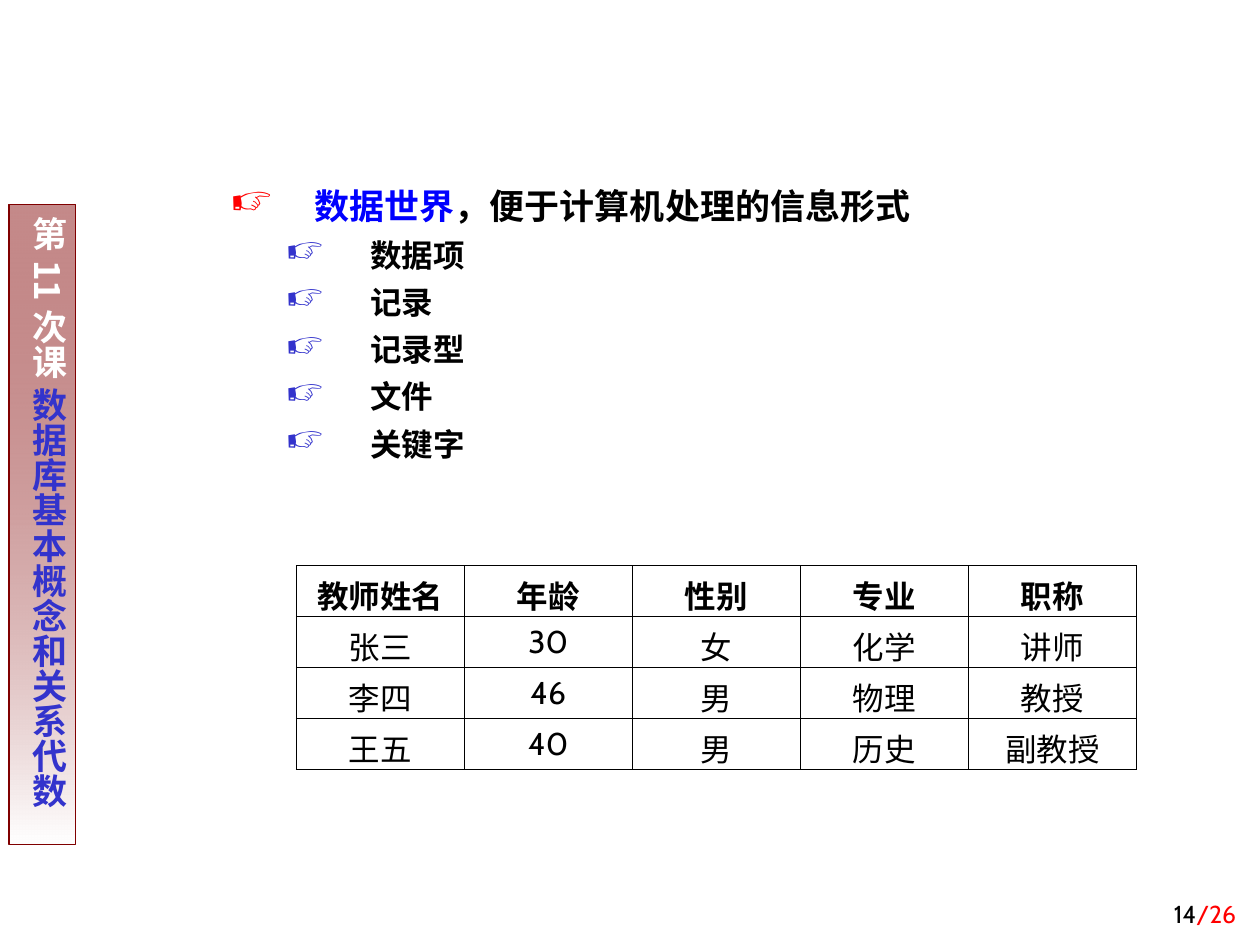
from lxml.etree import SubElement as Sub
from pptx import Presentation
from pptx.dml.color import RGBColor
from pptx.enum.shapes import MSO_SHAPE as Kind
from pptx.enum.text import MSO_ANCHOR as Anchor, PP_ALIGN as Align
from pptx.oxml.ns import qn
from pptx.util import Cm, Pt

CJK, LATIN = "Noto Sans CJK SC", "Cabin"
BLACK, WHITE, RED, BLUE, NAVY, WINE = (
    "000000", "FFFFFF", "FF0000", "0000FF", "3333CC", "800000")


def color(code):
    return RGBColor.from_string(code)


def put(obj, fmt):
    for name, value in fmt.items():
        setattr(obj, name, value)


class Page:
    """Holds the style and the current slide."""
    big = {"size": Pt(20), "bold": True, "name": CJK}
    mid = {"size": Pt(18), "bold": True, "name": CJK}
    cell = {"size": Pt(18), "name": LATIN}
    small = {"size": Pt(14), "name": LATIN}
    side = {"margin_left": Cm(0.13), "margin_right": Cm(0.13),
            "margin_top": Cm(0.25), "margin_bottom": Cm(0.25),
            "word_wrap": True, "vertical_anchor": Anchor.TOP}

    def __init__(self, deck):
        self.slide = deck.slides.add_slide(deck.slide_layouts[6])
        self.shapes = self.slide.shapes

    def runs(self, para, parts, fmt):
        for text, code in parts:
            run = para.add_run()
            run.text = text
            put(run.font, fmt)
            run.font.color.rgb = color(code)
            Sub(run.font._element, qn("a:ea"), typeface=CJK)

    def bullet(self, para, code, left, hang):
        props = para._p.get_or_add_pPr()
        props.set("marL", str(Cm(left)))
        props.set("indent", str(-Cm(hang)))
        tint = Sub(props, qn("a:buClr"))
        Sub(tint, qn("a:srgbClr"), val=code)
        Sub(props, qn("a:buSzPct"), val="120000")
        Sub(props, qn("a:buChar"), char="☞")

    def banner(self, box, parts):
        bar = self.shapes.add_shape(Kind.RECTANGLE, *map(Cm, box))
        bar.shadow.inherit = False
        bar.fill.gradient()
        bar.fill.gradient_angle = 270
        for stop, code, place in zip(bar.fill.gradient_stops, (WINE, WHITE), (0, 1)):
            stop.color.rgb = color(code)
            stop.position = place
        # The dark end is partly see-through
        dark = next(bar._element.iter(qn("a:srgbClr")))
        Sub(dark, qn("a:alpha"), val="46000")
        bar.line.width = Pt(0.75)
        bar.line.color.rgb = color(WINE)
        frame = bar.text_frame
        put(frame, self.side)
        frame._txBody.bodyPr.set("vert", "eaVert")
        para = frame.paragraphs[0]
        para.alignment = Align.LEFT
        self.runs(para, parts, self.big)

    def text(self, box, anchor=Anchor.TOP):
        frame = self.shapes.add_textbox(*map(Cm, box)).text_frame
        put(frame, {"word_wrap": True, "vertical_anchor": anchor})
        return frame

    def outline(self, box, head, items):
        frame = self.text(box)
        rows = [(0, head, RED, 2.79, self.big)]
        rows += [(1, [(item, BLACK)], NAVY, 3.91, self.mid) for item in items]
        for i, (level, parts, mark, left, fmt) in enumerate(rows):
            para = frame.add_paragraph() if i else frame.paragraphs[0]
            put(para, {"level": level, "line_spacing": 1.25})
            self.bullet(para, mark, left, 1.7)
            self.runs(para, parts, fmt)

    def footer(self, box, parts):
        para = self.text(box, Anchor.BOTTOM).paragraphs[0]
        para.alignment = Align.RIGHT
        self.runs(para, parts, self.small)

    def border(self, cell):
        props = cell._tc.get_or_add_tcPr()
        for edge in "LRTB":
            line = Sub(props, qn(f"a:ln{edge}"), w=str(Pt(0.45)))
            fill = Sub(line, qn("a:solidFill"))
            Sub(fill, qn("a:srgbClr"), val=BLACK)

    def table(self, box, rows):
        table = self.shapes.add_table(len(rows), len(rows[0]), *map(Cm, box)).table
        put(table, {"first_row": False, "horz_banding": False})
        for r, row in enumerate(rows):
            for c, text in enumerate(row):
                cell = table.cell(r, c)
                self.border(cell)
                cell.fill.solid()
                cell.fill.fore_color.rgb = color(WHITE)
                para = cell.text_frame.paragraphs[0]
                para.alignment = Align.CENTER
                self.runs(para, [(text, BLACK)], {**self.cell, "bold": r == 0})


def main():
    deck = Presentation()
    put(deck, {"slide_width": Cm(25.4), "slide_height": Cm(19.05)})
    page = Page(deck)

    # Side banner and page number
    page.banner((0.18, 4.12, 1.35, 12.9),
                [("第11次课 ", WHITE), ("数据库基本概念和关系代数", NAVY)])
    page.footer((19.89, 17.58, 5.28, 1.27), [("14", BLACK), ("/26", RED)])

    # Outline
    page.outline((3.3, 3.38, 20.4, 7.59),
                 [("数据世界", BLUE), ("，便于计算机处理的信息形式", BLACK)],
                 ["数据项", "记录", "记录型", "文件", "关键字"])

    # Teachers
    page.table((5.97, 11.4, 16.94, 4.11), [
        ["教师姓名", "年龄", "性别", "专业", "职称"],
        ["张三", "30", "女", "化学", "讲师"],
        ["李四", "46", "男", "物理", "教授"],
        ["王五", "40", "男", "历史", "副教授"],
    ])
    deck.save("out.pptx")


if __name__ == "__main__":
    main()
